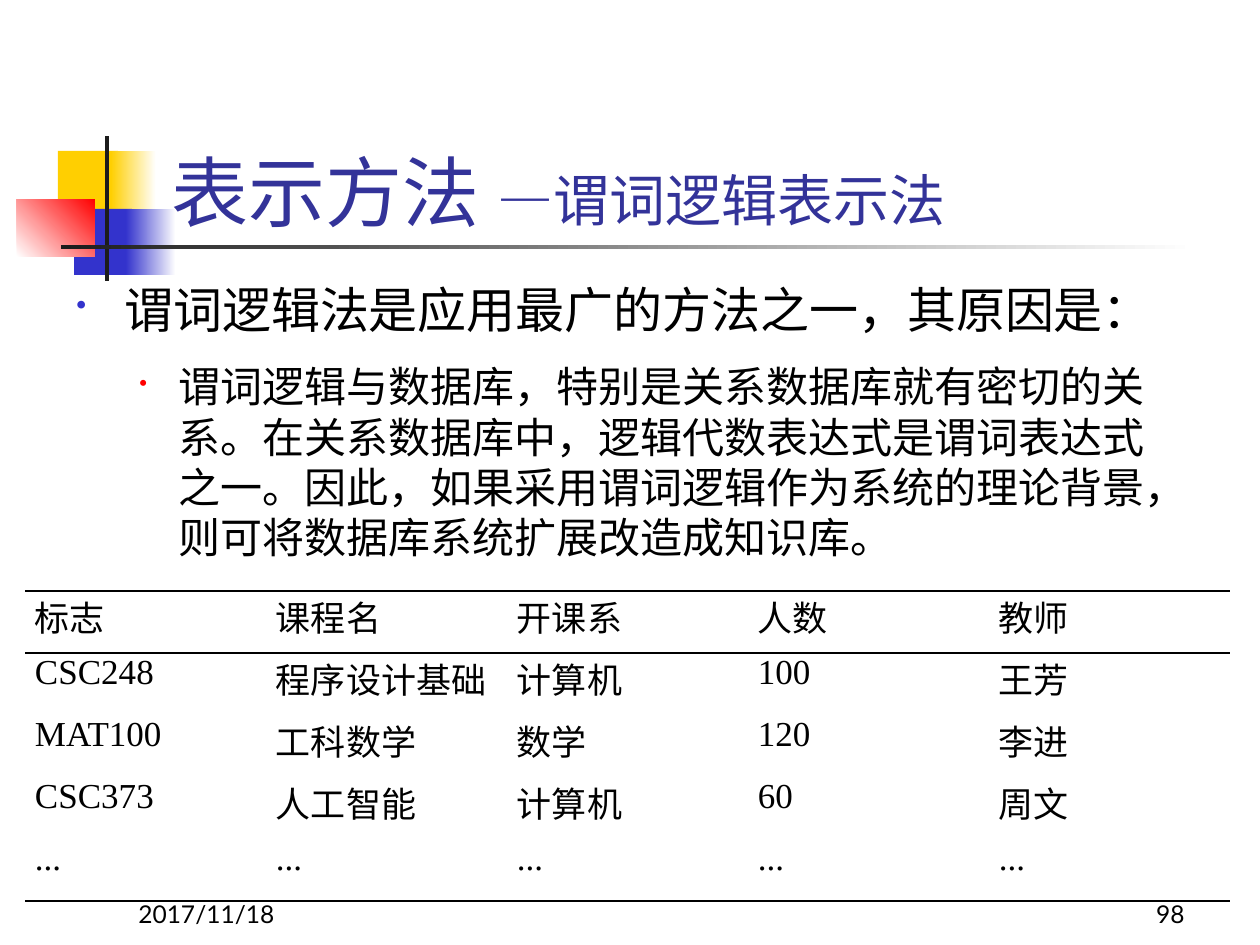
import dataclasses

import lxml.etree
import pptx
import pptx.dml.color
import pptx.enum.shapes
import pptx.enum.text
import pptx.oxml
import pptx.oxml.ns
import pptx.util


@dataclasses.dataclass(frozen=True)
class Theme:
    black: str = "000000"
    white: str = "FFFFFF"
    ink: str = "1C1C1C"
    yellow: str = "FFCF01"
    blue: str = "3333CC"
    red: str = "FF0000"
    heading: str = "333399"
    sans: str = "Lato"
    serif: str = "Times New Roman"
    title_size: int = 44
    subtitle_size: int = 32
    point_size: int = 28
    detail_size: int = 24
    cell_size: int = 20
    footer_size: int = 14


theme = Theme()
color = pptx.dml.color.RGBColor.from_string
align = pptx.enum.text.PP_ALIGN
anchor = pptx.enum.text.MSO_ANCHOR


def px(*lengths):
    return [pptx.util.Emu(round(length * 914400 / 126)) for length in lengths]


def add_span(para, text, font, size, ink):
    span = para.add_run()
    span.text = text
    span.font.name = font
    span.font.size = pptx.util.Pt(size)
    span.font.color.rgb = color(ink)


deck = pptx.Presentation()
deck.slide_width, deck.slide_height = px(1260, 945)
page = deck.slides.add_slide(deck.slide_layouts[5])

ornaments = [
    ((58, 151, 60, 66), [theme.yellow], 0),
    ((111, 151, 45, 66), [theme.yellow, theme.white], 0),
    ((74, 209, 58, 66), [theme.blue], 0),
    ((126, 209, 50, 66), [theme.blue, theme.white], 0),
    ((17, 199, 78, 58), [theme.white, theme.red], 45),
    ((105, 136, 4, 145), [theme.ink], 0),
    ((61, 245, 1134, 4), [theme.ink, theme.white], 0),
]
for place, shades, angle in ornaments:
    ornament = page.shapes.add_shape(pptx.enum.shapes.MSO_SHAPE.RECTANGLE, *px(*place))
    ornament.shadow.inherit = False
    ornament.line.fill.background()
    if len(shades) == 1:
        ornament.fill.solid()
        ornament.fill.fore_color.rgb = color(shades[0])
    else:
        ornament.fill.gradient()
        ornament.fill.gradient_angle = angle
        for stop, shade in zip(ornament.fill.gradient_stops, shades):
            stop.color.rgb = color(shade)

title = page.shapes.title
title.left, title.top, title.width, title.height = px(159, 86, 1074, 157)
title.text_frame.auto_size = pptx.enum.text.MSO_AUTO_SIZE.NONE
title.text_frame.vertical_anchor = anchor.BOTTOM
para = title.text_frame.paragraphs[0]
para.alignment = align.LEFT
add_span(para, "表示方法 ", theme.sans, theme.title_size, theme.heading)
add_span(para, "—谓词逻辑表示法", theme.sans, theme.subtitle_size, theme.heading)

body = page.shapes.add_textbox(*px(64, 273, 1121, 329)).text_frame
body.word_wrap = True
points = [
    ("谓词逻辑法是应用最广的方法之一，其原因是：",
     theme.point_size, 0, 48, 48, theme.blue, 60, 0),
    ("谓词逻辑与数据库，特别是关系数据库就有密切的关系。在关系数据库中，逻辑代数表达式是谓词表达式之一。"
     "因此，如果采用谓词逻辑作为系统的理论背景，则可将数据库系统扩展改造成知识库。",
     theme.detail_size, 1, 102, 39, theme.red, 55, 13),
]
for index, (text, size, level, margin, hanging, ink, percent, gap) in enumerate(points):
    para = body.add_paragraph() if index else body.paragraphs[0]
    para.level = level
    para.space_before = pptx.util.Pt(gap)
    properties = para._p.get_or_add_pPr()
    left, indent = px(margin, -hanging)
    properties.set("marL", str(left))
    properties.set("indent", str(indent))
    bullet_color = lxml.etree.SubElement(properties, pptx.oxml.ns.qn("a:buClr"))
    lxml.etree.SubElement(bullet_color, pptx.oxml.ns.qn("a:srgbClr"), val=ink)
    lxml.etree.SubElement(properties, pptx.oxml.ns.qn("a:buSzPct"), val=str(percent * 1000))
    lxml.etree.SubElement(properties, pptx.oxml.ns.qn("a:buChar"), char="•")
    add_span(para, text, theme.serif, size, theme.black)

courses = [
    ["标志", "课程名", "开课系", "人数", "教师"],
    ["CSC248", "程序设计基础", "计算机", "100", "王芳"],
    ["MAT100", "工科数学", "数学", "120", "李进"],
    ["CSC373", "人工智能", "计算机", "60", "周文"],
    ["..."] * 5,
]
ruled_edges = {0: ("lnT", "lnB"), 1: ("lnT",), len(courses) - 1: ("lnB",)}
table = page.shapes.add_table(5, 5, *px(25, 591, 1205, 310)).table
table.first_row = False
table.horz_banding = False
for row, course in enumerate(courses):
    for column, text in enumerate(course):
        cell = table.cell(row, column)
        cell.fill.background()
        cell.margin_left, cell.margin_right, cell.margin_top, cell.margin_bottom = px(10, 10, 0, 0)
        para = cell.text_frame.paragraphs[0]
        para.alignment = align.JUSTIFY
        add_span(para, text, theme.serif, theme.cell_size, theme.black)
        properties = cell._tc.get_or_add_tcPr()
        for position, edge in enumerate(("lnL", "lnR", "lnT", "lnB")):
            border = pptx.oxml.parse_xml(
                f'<a:{edge} {pptx.oxml.ns.nsdecls("a")} w="12700"/>')
            if edge in ruled_edges.get(row, ()):
                paint = lxml.etree.SubElement(border, pptx.oxml.ns.qn("a:solidFill"))
                lxml.etree.SubElement(paint, pptx.oxml.ns.qn("a:srgbClr"), val=theme.black)
            else:
                lxml.etree.SubElement(border, pptx.oxml.ns.qn("a:noFill"))
            properties.insert(position, border)

for left, text, side in [(126, "2017/11/18", align.LEFT), (935, "98", align.RIGHT)]:
    footer = page.shapes.add_textbox(*px(left, 872, 262, 63)).text_frame
    footer.word_wrap = True
    footer.vertical_anchor = anchor.BOTTOM
    para = footer.paragraphs[0]
    para.alignment = side
    add_span(para, text, theme.sans, theme.footer_size, theme.black)

deck.save("out.pptx")
